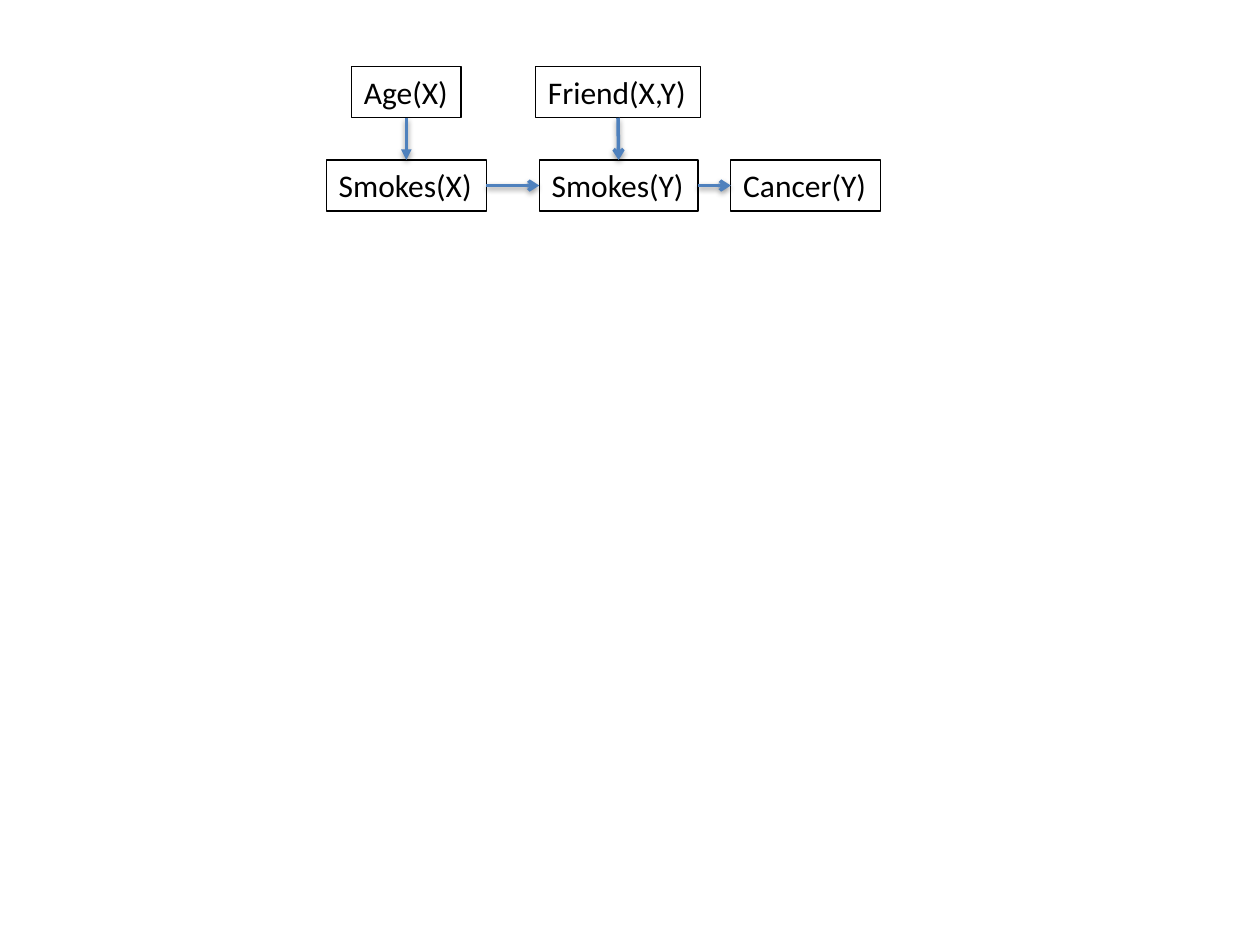
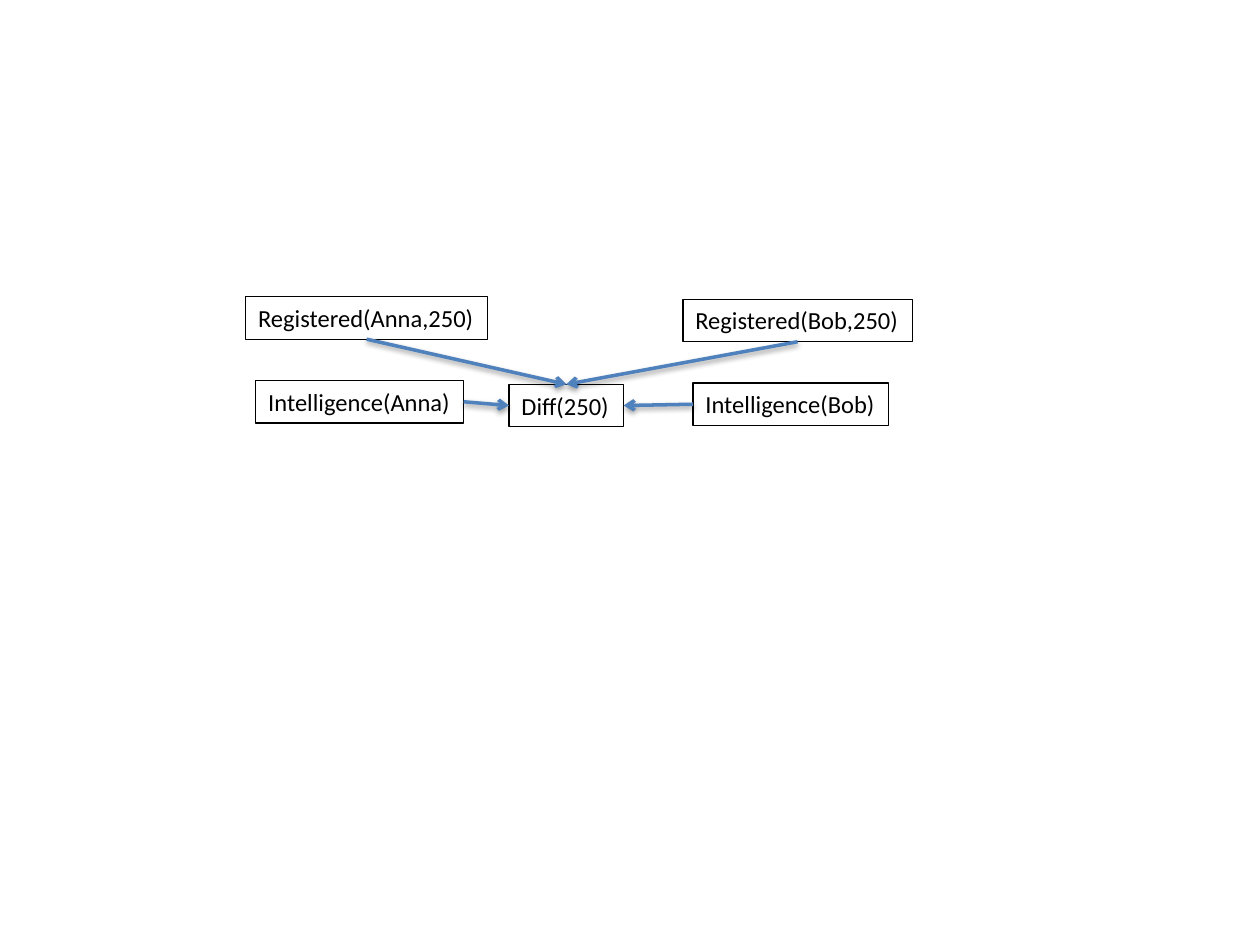
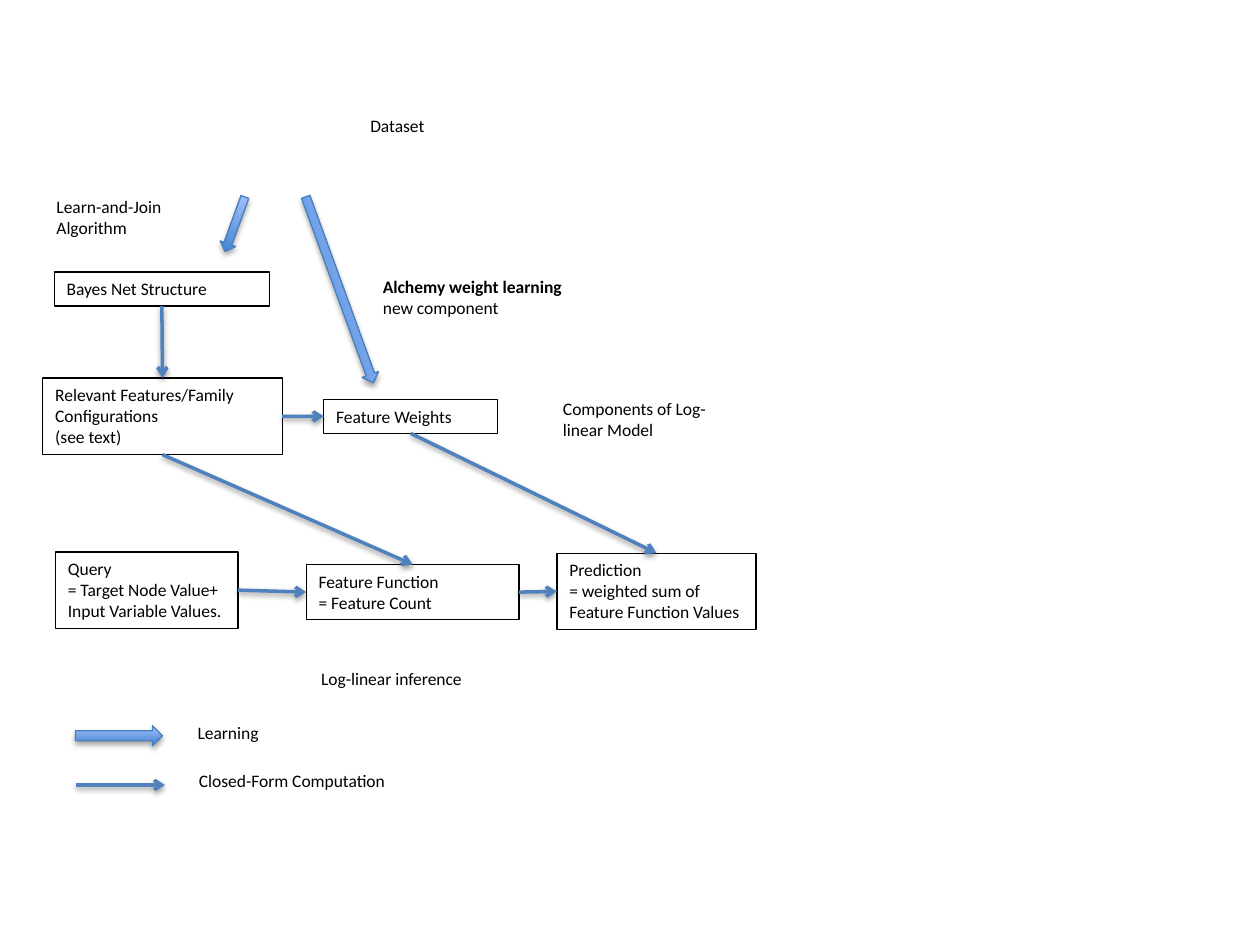
"""Build three diagram slides on relational Bayes nets and log-linear models."""
from copy import deepcopy
from dataclasses import dataclass, field
from enum import IntEnum
from typing import Any

from lxml import etree
from pptx import Presentation
from pptx import util as u
from pptx.dml.color import RGBColor
from pptx.enum import shapes, text
from pptx.oxml.ns import qn


@dataclass(frozen=True)
class Theme:
    """Colours, type sizes and line weights shared by every slide."""
    font: str = "Calibri"
    ink: RGBColor = RGBColor(0, 0, 0)
    link: RGBColor = RGBColor(0x4F, 0x81, 0xBD)
    arrow_edge: RGBColor = RGBColor(0x4B, 0x7E, 0xBC)
    arrow_dark: RGBColor = RGBColor(0x3F, 0x80, 0xCE)
    arrow_light: RGBColor = RGBColor(0xA4, 0xC4, 0xFF)
    large: int = 18
    medium: int = 14
    small: int = 10
    leading: float = 1.22
    inset: float = 0.5
    thin: float = 0.75
    thick: float = 2
    link_shadow: tuple[int, float] = (38, 1.6)
    arrow_shadow: tuple[int, float] = (35, 1.8)
    blur: float = 3.15


THEME = Theme()
COLUMNS, ROWS = 100, 75
SLIDE_WIDTH, SLIDE_HEIGHT = u.Inches(10), u.Inches(7.5)


class Side(IntEnum):
    """Connection sites of a rectangle."""
    TOP = 0
    LEFT = 1
    BOTTOM = 2
    RIGHT = 3


@dataclass(frozen=True)
class Label:
    """Text at a grid position, one entry of words per paragraph."""
    words: str | tuple[str, ...]
    left: float
    top: float
    width: float
    lines: int = 1
    framed: bool = True
    wrap: bool = True
    bold_first: bool = False


@dataclass(frozen=True)
class Link:
    """Arrow between sides of two boxes, each named by its first line."""
    start: str
    start_side: Side
    end: str
    end_side: Side
    head: str = "arrow"


@dataclass(frozen=True)
class BlockArrow:
    """Gradient block arrow on the grid."""
    kind: shapes.MSO_SHAPE
    left: float
    top: float
    width: float
    height: float
    rotation: float = 0


@dataclass(frozen=True)
class Diagram:
    """Everything drawn on one slide."""
    size: int
    labels: list[Label]
    links: list[Link]
    arrows: list[BlockArrow] = field(default_factory=list)
    strokes: list[tuple[float, float, float, float]] = field(default_factory=list)


def across(columns: float) -> int:
    """Turn grid columns into a length."""
    return round(SLIDE_WIDTH * columns / COLUMNS)


def down(rows: float) -> int:
    """Turn grid rows into a length."""
    return round(SLIDE_HEIGHT * rows / ROWS)


def apply(target: Any, values: dict[str, Any]) -> None:
    """Set each named attribute on the target."""
    for name, value in values.items():
        setattr(target, name, value)


def cast_shadow(effects: Any, shadow: tuple[int, float]) -> None:
    """Add a soft downward shadow to an effect list."""
    opacity, distance = shadow
    outer = etree.SubElement(effects, qn("a:outerShdw"), {
        "blurRad": str(u.Pt(THEME.blur)), "dist": str(u.Pt(distance)),
        "dir": "5400000", "rotWithShape": "0"})
    colour = etree.SubElement(outer, qn("a:srgbClr"), val=str(THEME.ink))
    etree.SubElement(colour, qn("a:alpha"), val=str(opacity * 1000))


def write_words(frame: Any, label: Label, size: int) -> None:
    """Fill a text frame with the paragraphs of a label."""
    apply(frame, {"word_wrap": label.wrap, "vertical_anchor": text.MSO_ANCHOR.TOP,
                  "auto_size": text.MSO_AUTO_SIZE.SHAPE_TO_FIT_TEXT})
    paragraphs = (label.words,) if isinstance(label.words, str) else label.words
    for index, words in enumerate(paragraphs):
        para = frame.add_paragraph() if index else frame.paragraphs[0]
        apply(para, {"text": words, "alignment": text.PP_ALIGN.LEFT})
        for span in para.runs:
            apply(span.font, {"name": THEME.font, "size": u.Pt(size),
                              "bold": label.bold_first and index == 0})
            span.font.color.rgb = THEME.ink
        for line_break in para._p.findall(qn("a:br")):
            line_break.append(deepcopy(para.runs[0]._r.rPr))


def draw_label(page: Any, label: Label, size: int) -> Any:
    """Draw a framed box or a plain text box, as tall as its lines."""
    height = u.Pt(size * THEME.leading * label.lines) + 2 * down(THEME.inset)
    place = across(label.left), down(label.top), across(label.width), height
    if label.framed:
        box = page.shapes.add_shape(shapes.MSO_SHAPE.RECTANGLE, *place)
        box.shadow.inherit = False
        box.fill.background()
        box.line.color.rgb = THEME.ink
        box.line.width = u.Pt(THEME.thin)
    else:
        box = page.shapes.add_textbox(*place)
    write_words(box.text_frame, label, size)
    return box


def draw_stroke(page: Any, ends: tuple[float, float, float, float],
                head: str = "arrow") -> Any:
    """Draw a shadowed line with an arrowhead at its end."""
    left, top, right, bottom = ends
    stroke = page.shapes.add_connector(
        shapes.MSO_CONNECTOR.STRAIGHT,
        across(left), down(top), across(right), down(bottom))
    stroke.line.color.rgb = THEME.link
    stroke.line.width = u.Pt(THEME.thick)
    properties = stroke._element.spPr
    etree.SubElement(properties.find(qn("a:ln")), qn("a:tailEnd"), type=head)
    cast_shadow(etree.SubElement(properties, qn("a:effectLst")), THEME.link_shadow)
    return stroke


def draw_link(page: Any, link: Link, boxes: dict[str, Any]) -> None:
    """Join two boxes with an arrow."""
    stroke = draw_stroke(page, (0, 0, 0, 0), link.head)
    stroke.begin_connect(boxes[link.start], link.start_side)
    stroke.end_connect(boxes[link.end], link.end_side)


def draw_arrow(page: Any, arrow: BlockArrow) -> None:
    """Draw a gradient block arrow with a shadow."""
    block = page.shapes.add_shape(
        arrow.kind, across(arrow.left), down(arrow.top),
        across(arrow.width), down(arrow.height))
    block.rotation = arrow.rotation
    block.fill.gradient()
    block.fill.gradient_angle = 90
    colours = THEME.arrow_dark, THEME.arrow_light
    for position, (stop, colour) in enumerate(zip(block.fill.gradient_stops, colours)):
        stop.color.rgb = colour
        stop.position = position
    block.line.color.rgb = THEME.arrow_edge
    block.line.width = u.Pt(THEME.thin)
    block.shadow.inherit = False
    cast_shadow(block._element.spPr.find(qn("a:effectLst")), THEME.arrow_shadow)


def draw_diagram(deck: Any, diagram: Diagram) -> None:
    """Add a slide holding one diagram."""
    page = deck.slides.add_slide(deck.slide_layouts[6])
    boxes = {}
    for label in diagram.labels:
        box = draw_label(page, label, diagram.size)
        boxes[box.text_frame.text.splitlines()[0]] = box
    for link in diagram.links:
        draw_link(page, link, boxes)
    for arrow in diagram.arrows:
        draw_arrow(page, arrow)
    for stroke in diagram.strokes:
        draw_stroke(page, stroke)


SMOKING = Diagram(
    THEME.large,
    [
        Label("Age(X)", 27.9, 5.3, 8.7, wrap=False),
        Label("Friend(X,Y)", 42.5, 5.3, 13.1, wrap=False),
        Label("Smokes(X)", 25.9, 12.7, 12.7, wrap=False),
        Label("Smokes(Y)", 42.8, 12.7, 12.6, wrap=False),
        Label("Cancer(Y)", 58, 12.7, 11.9, wrap=False),
    ],
    [
        Link("Age(X)", Side.BOTTOM, "Smokes(X)", Side.TOP, "triangle"),
        Link("Friend(X,Y)", Side.BOTTOM, "Smokes(Y)", Side.TOP),
        Link("Smokes(X)", Side.RIGHT, "Smokes(Y)", Side.LEFT),
        Link("Smokes(Y)", Side.RIGHT, "Cancer(Y)", Side.LEFT),
    ],
)

DIFFICULTY = Diagram(
    THEME.medium,
    [
        Label("Registered(Anna,250)", 19.5, 23.55, 19.2, wrap=False),
        Label("Registered(Bob,250)", 54.2, 23.75, 18.2, wrap=False),
        Label("Intelligence(Anna)", 20.3, 30.2, 16.5, wrap=False),
        Label("Intelligence(Bob)", 55, 30.4, 15.5, wrap=False),
        Label("Diff(250)", 40.4, 30.5, 9.1),
    ],
    [
        Link("Registered(Anna,250)", Side.BOTTOM, "Diff(250)", Side.TOP),
        Link("Registered(Bob,250)", Side.BOTTOM, "Diff(250)", Side.TOP),
        Link("Intelligence(Anna)", Side.RIGHT, "Diff(250)", Side.LEFT),
        Link("Intelligence(Bob)", Side.LEFT, "Diff(250)", Side.RIGHT),
    ],
)

FEATURES = "Relevant Features/Family Configurations"
LOG_LINEAR = Diagram(
    THEME.small,
    [
        Label("Bayes Net Structure", 4.3, 21.6, 17.1),
        Label("Feature Weights", 25.7, 31.7, 13.8),
        Label(f"{FEATURES}\n(see text)", 3.4, 30, 19, 3),
        Label("Query\n= Target Node Value+\nInput Variable Values.",
              4.4, 43.8, 14.5, 3, wrap=False),
        Label("Prediction\n= weighted sum of\nFeature Function Values",
              44.2, 43.9, 15.8, 3, wrap=False),
        Label("Feature Function\n= Feature Count", 24.3, 44.8, 16.9, 2),
        Label("Dataset", 28.4, 8.6, 10.9, framed=False),
        Label("Learn-and-Join Algorithm", 3.5, 15.1, 13.6, 2, framed=False),
        Label(("Alchemy weight learning", "new component"),
              29.4, 21.4, 20.9, 2, framed=False, bold_first=True),
        Label("Components of Log-linear Model", 43.7, 31.1, 15.4, 2, framed=False),
        Label("Log-linear inference", 24.5, 52.5, 20.4, framed=False),
        Label("Learning", 14.7, 56.8, 10.3, framed=False),
        Label("Closed-Form Computation", 14.8, 60.6, 22.2, framed=False),
    ],
    [
        Link("Bayes Net Structure", Side.BOTTOM, FEATURES, Side.TOP),
        Link(FEATURES, Side.RIGHT, "Feature Weights", Side.LEFT),
        Link(FEATURES, Side.BOTTOM, "Feature Function", Side.TOP),
        Link("Feature Weights", Side.BOTTOM, "Prediction", Side.TOP),
        Link("Query", Side.RIGHT, "Feature Function", Side.LEFT),
        Link("Feature Function", Side.RIGHT, "Prediction", Side.LEFT),
    ],
    [
        BlockArrow(shapes.MSO_SHAPE.DOWN_ARROW, 18, 15.5, 1.3, 4.6, 20),
        BlockArrow(shapes.MSO_SHAPE.RIGHT_ARROW, 19.1, 22.3, 15.7, 1.4, 70),
        BlockArrow(shapes.MSO_SHAPE.RIGHT_ARROW, 6, 57.6, 6.9, 1.6),
    ],
    [(6, 62.3, 13.1, 62.3)],
)


def main() -> None:
    """Build and save the deck."""
    deck = Presentation()
    apply(deck, {"slide_width": SLIDE_WIDTH, "slide_height": SLIDE_HEIGHT})
    for diagram in (SMOKING, DIFFICULTY, LOG_LINEAR):
        draw_diagram(deck, diagram)
    deck.save("out.pptx")


if __name__ == "__main__":
    main()
